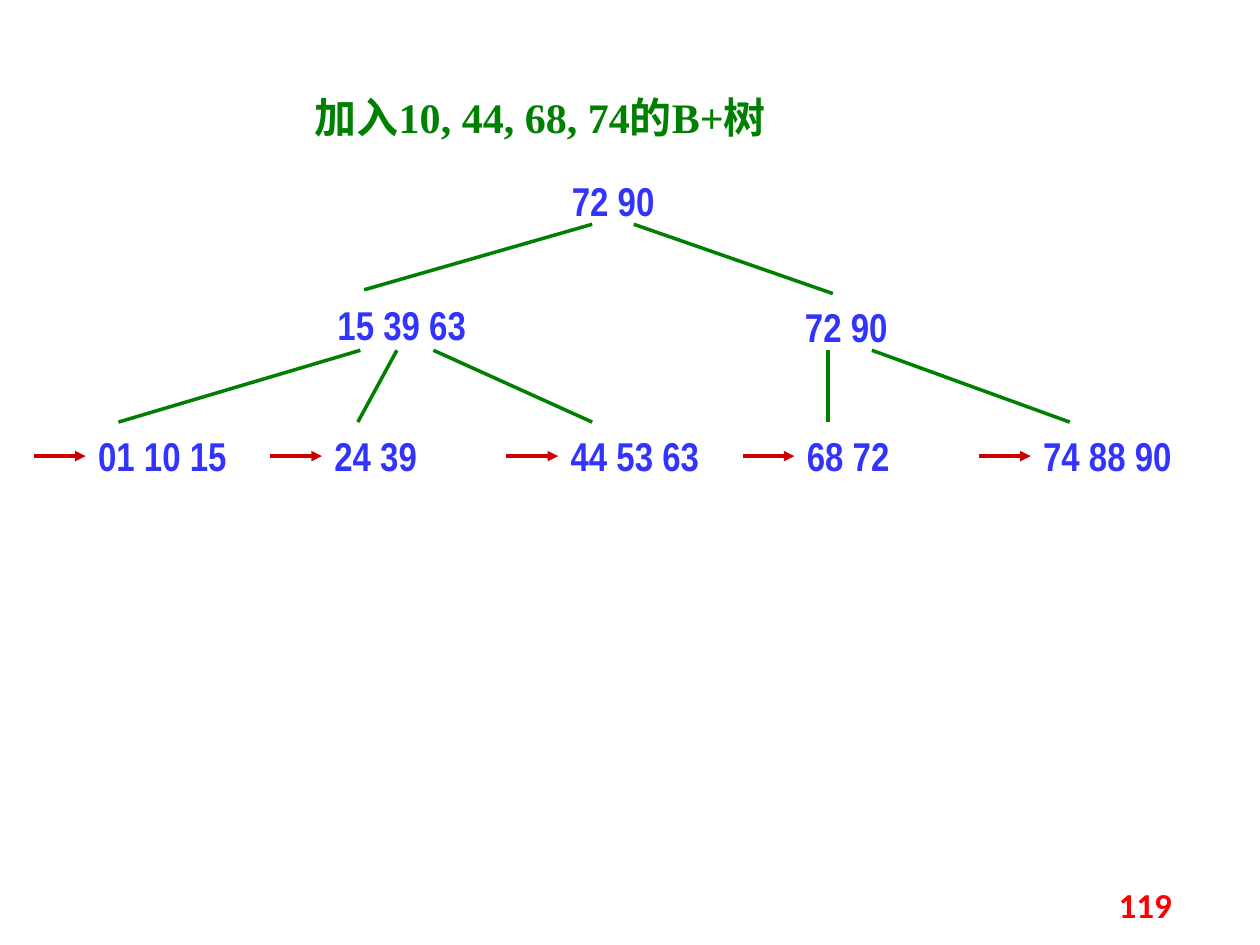
from lxml import etree
from pptx import Presentation
from pptx import util as u
from pptx.dml.color import RGBColor
from pptx.enum import shapes, text
from pptx.oxml import ns

GREEN, BLUE, DARK_RED, RED = "008000", "3333FF", "CC0000", "FF0000"
KEYS = {"name": "Arial Narrow", "size": u.Pt(23), "bold": True}
TITLE = {"name": "Times New Roman", "size": u.Pt(24), "bold": True}
NUMBER = {"name": "Calibri", "size": u.Pt(20), "bold": True}


def color(value):
    """Turn a hex string into a colour."""
    return RGBColor.from_string(value)


class TreePage:
    """Draws a B+ tree on a grid of 100 columns by 75 rows."""

    columns, rows = 100, 75
    node_size = (15.9, 6.9)

    def __init__(self, deck):
        """Add a blank page to the deck."""
        self.page = deck.slides.add_slide(deck.slide_layouts[6])
        self.column = deck.slide_width / self.columns
        self.row = deck.slide_height / self.rows

    def place(self, x, y):
        """Turn grid columns and rows into slide lengths."""
        return round(x * self.column), round(y * self.row)

    def label(self, words, at, size, style, fill, align="JUSTIFY", anchor="TOP"):
        """Write one line of text in a box."""
        box = self.page.shapes.add_textbox(*self.place(*at), *self.place(*size))
        frame = box.text_frame
        frame.word_wrap = True
        frame.vertical_anchor = getattr(text.MSO_ANCHOR, anchor)
        para = frame.paragraphs[0]
        para.alignment = getattr(text.PP_ALIGN, align)
        span = para.add_run()
        span.text = words
        for name, value in style.items():
            setattr(span.font, name, value)
        span.font.color.rgb = color(fill)

    def node(self, keys, x, y):
        """Write the keys of a tree node."""
        self.label(keys, (x, y), self.node_size, KEYS, BLUE)

    def line(self, start, end, stroke=GREEN, arrow=False):
        """Draw a straight line, with an arrowhead if asked."""
        link = self.page.shapes.add_connector(
            shapes.MSO_CONNECTOR.STRAIGHT, *self.place(*start), *self.place(*end))
        link.line.color.rgb = color(stroke)
        link.line.width = u.Pt(2)
        if arrow:
            etree.SubElement(link.line._get_or_add_ln(), ns.qn("a:tailEnd"), type="triangle")
        etree.SubElement(link._element.spPr, ns.qn("a:effectLst"))

    def leaf(self, keys, x, y):
        """Write a leaf node with the chain arrow that leads to it."""
        self.node(keys, x, y)
        self.line((x - 4.1, y + 2.5), (x, y + 2.5), DARK_RED, arrow=True)


def main():
    """Build the deck."""
    deck = Presentation()
    deck.slide_width, deck.slide_height = u.Inches(10), u.Inches(7.5)
    tree = TreePage(deck)
    tree.label("加入10, 44, 68, 74的B+树", (24, 6.8), (50, 5.5), TITLE, GREEN)

    tree.node("72 90", 44.4, 13.5)
    tree.line((47, 17.8), (28.9, 23))
    tree.line((50.3, 17.8), (66.1, 23.3))

    tree.node("15 39 63", 25.8, 23.3)
    tree.node("72 90", 62.9, 23.5)
    for top, bottom in [(28.6, 9.4), (31.5, 28.4), (34.4, 47), (65.7, 65.7), (69.2, 84.9)]:
        tree.line((top, 27.8), (bottom, 33.5))

    leaves = ["01 10 15", "24 39", "44 53 63", "68 72", "74 88 90"]
    for index, keys in enumerate(leaves):
        tree.leaf(keys, 6.8 + 18.75 * index, 33.7)

    tree.label("119", (83.1, 69.8), (15.6, 4), NUMBER, RED, "CENTER", "MIDDLE")
    deck.save("out.pptx")


if __name__ == "__main__":
    main()
